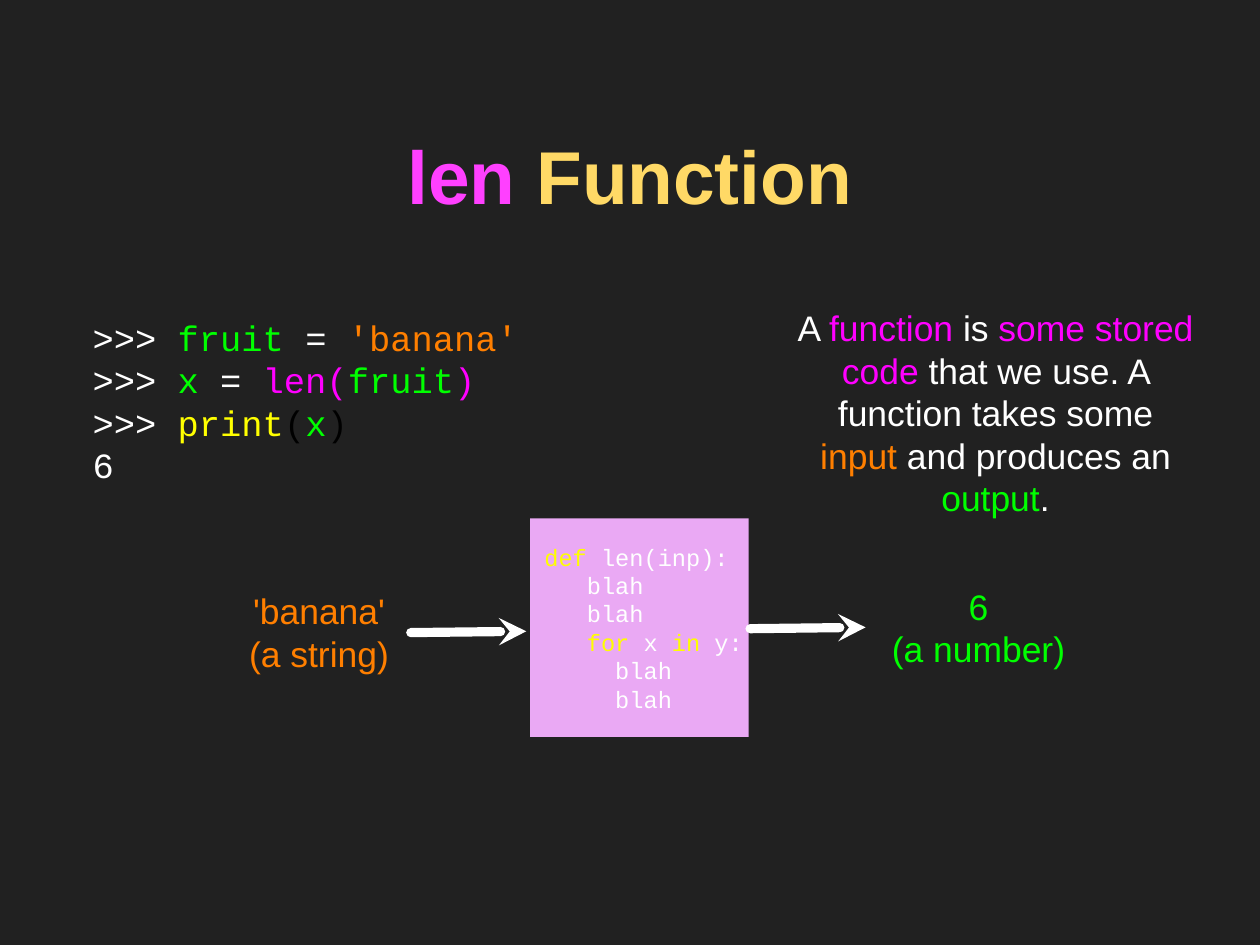
"""Build a slide that explains the len function with code and an input-output diagram."""
from lxml import etree
from pptx import Presentation
from pptx.dml.color import RGBColor
from pptx.enum.shapes import MSO_CONNECTOR, MSO_SHAPE
from pptx.enum.text import MSO_ANCHOR, PP_ALIGN
from pptx.oxml.ns import qn
from pptx.util import Pt

LEFT, CENTER = PP_ALIGN.LEFT, PP_ALIGN.CENTER
MIDDLE = MSO_ANCHOR.MIDDLE
STRAIGHT, RECTANGLE = MSO_CONNECTOR.STRAIGHT, MSO_SHAPE.RECTANGLE
SANS, MONO = "Arial", "Courier New"
COLORS = {
    "background": "212121", "pink": "FF40FF", "gold": "FFD966", "lilac": "EAA9F4",
    "white": "FFFFFF", "yellow": "FFFF00", "orange": "FF7F00", "green": "00FF00",
    "magenta": "FF00FF", "black": "000000",
}


def rgb(color):
    return RGBColor.from_string(COLORS[color])


def write(shape, lines, font, size, align, bold=False):
    frame = shape.text_frame
    frame.word_wrap = True
    frame.vertical_anchor = MIDDLE
    frame.margin_left = frame.margin_right = frame.margin_top = frame.margin_bottom = 0
    for number, (indent, pieces) in enumerate(lines):
        paragraph = frame.add_paragraph() if number else frame.paragraphs[0]
        paragraph.alignment = align
        paragraph.line_spacing = Pt(1.2 * size)
        if indent:
            properties = paragraph._p.get_or_add_pPr()
            properties.set("marL", str(Pt(indent * 0.6 * size)))
            properties.set("indent", "0")
        for text, color in pieces:
            run = paragraph.add_run()
            run.text = text
            run.font.name = font
            run.font.size = Pt(size)
            run.font.bold = bold
            run.font.color.rgb = rgb(color)


presentation = Presentation()
presentation.slide_width, presentation.slide_height = Pt(960), Pt(720)
slide = presentation.slides.add_slide(presentation.slide_layouts[6])
slide.background.fill.solid()
slide.background.fill.fore_color.rgb = rgb("background")

title = slide.shapes.add_textbox(Pt(68.4), Pt(65.5), Pt(823), Pt(134.6))
write(title, [(0, [("len ", "pink"), ("Function", "gold")])], SANS, 57, CENTER, True)
for run in title.text_frame.paragraphs[0].runs:
    effects = etree.Element(qn("a:effectLst"))
    shadow = etree.SubElement(effects, qn("a:outerShdw"), blurRad=str(Pt(3)),
                              dist=str(Pt(2)), dir="2700000")
    shade = etree.SubElement(shadow, qn("a:srgbClr"), val=COLORS["black"])
    etree.SubElement(shade, qn("a:alpha"), val="75000")
    run.font._element.find(qn("a:solidFill")).addnext(effects)

function_body = slide.shapes.add_shape(RECTANGLE, Pt(404), Pt(395), Pt(166.5), Pt(166.5))
function_body.shadow.inherit = False
function_body.fill.solid()
function_body.fill.fore_color.rgb = rgb("lilac")
function_body.line.fill.background()
blah = [("blah", "white")]
write(function_body, [
    (1, [("def ", "yellow"), ("len(inp):", "white")]),
    (4, blah),
    (4, blah),
    (4, [("for", "yellow"), (" x ", "white"), ("in", "yellow"), (" y:", "white")]),
    (6, blah),
    (6, blah),
], MONO, 18, LEFT)

session = [
    [("fruit ", "green"), ("=", "white"), (" 'banana'", "orange")],
    [("x ", "green"), ("= ", "white"), ("len(", "magenta"), ("fruit", "green"),
     (")", "magenta")],
    [("print", "yellow"), ("(", "black"), ("x", "green"), (")", "black")],
]
session_lines = [(0, [(">>> ", "white")] + statement) for statement in session]
session_lines.append((0, [("6", "white")]))
definition = [(0, [
    ("A ", "white"), ("function", "magenta"), (" is ", "white"),
    ("some stored code", "magenta"), (" that we use. A function takes some ", "white"),
    ("input", "orange"), (" and produces an ", "white"), ("output", "green"), (".", "white"),
])]
input_lines = [(0, [(text, "orange")]) for text in ("'banana'", "(a string)")]
output_lines = [(0, [(text, "green")]) for text in ("6", "(a number)")]

for left, top, width, height, lines, font, align in [
    (70.6, 239.8, 333.4, 131, session_lines, MONO, LEFT),
    (607, 249.8, 303, 129, definition, SANS, CENTER),
    (189.4, 448.6, 107.3, 65.5, input_lines, SANS, CENTER),
    (676, 444.2, 139, 67.7, output_lines, SANS, CENTER),
]:
    box = slide.shapes.add_textbox(Pt(left), Pt(top), Pt(width), Pt(height))
    write(box, lines, font, 27, align)

for tip, tip_y in [(401, 481), (659.5, 478)]:
    arrow = slide.shapes.add_connector(STRAIGHT, Pt(tip), Pt(tip_y), Pt(tip - 88), Pt(tip_y + 1))
    arrow.line.color.rgb = rgb("white")
    arrow.line.width = Pt(7)
    outline = arrow.line._get_or_add_ln()
    outline.set("cap", "rnd")
    etree.SubElement(outline, qn("a:headEnd"), type="stealth")
    etree.SubElement(arrow._element.spPr, qn("a:effectLst"))

presentation.save("out.pptx")
